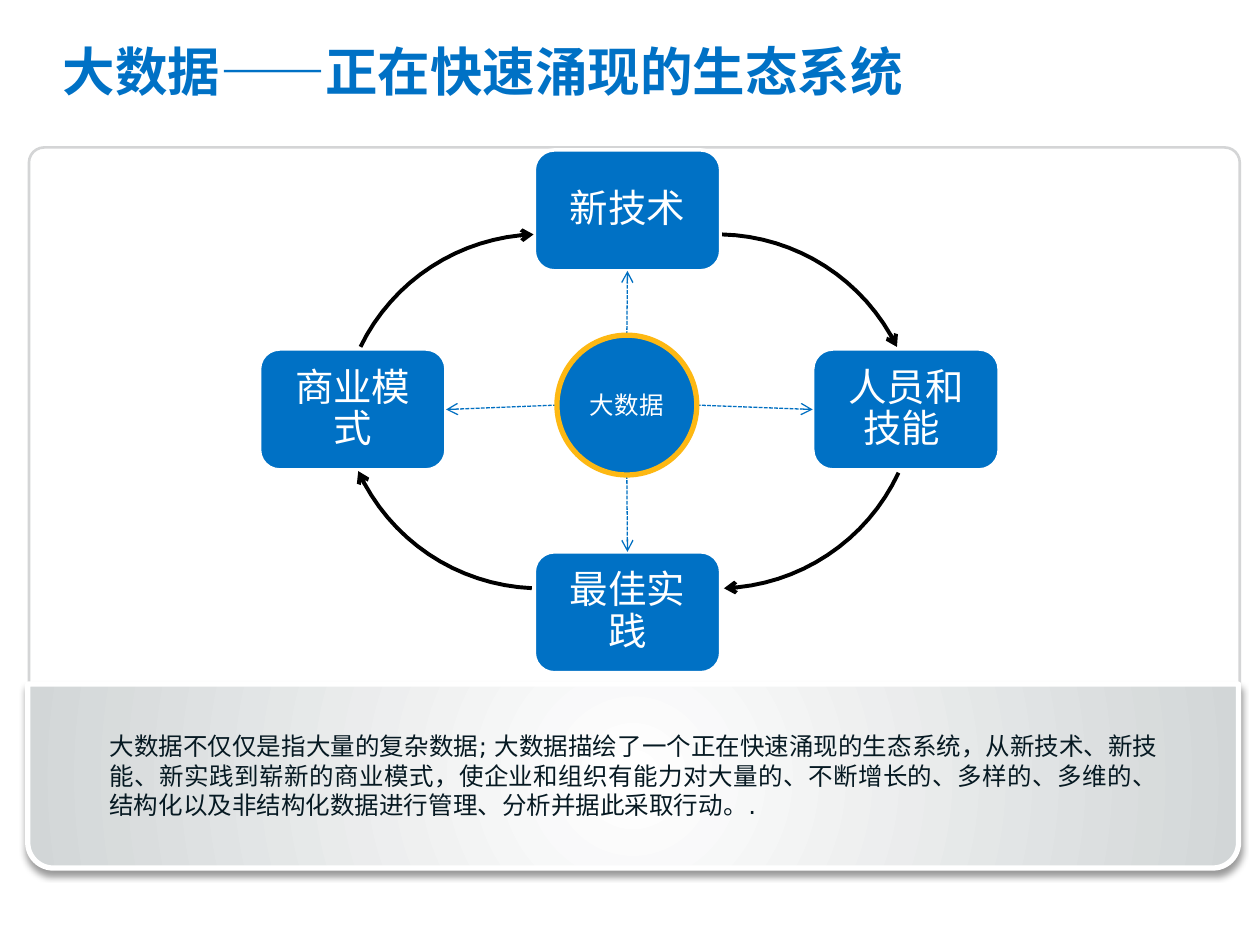
from math import cos, sin, radians
from pptx import Presentation
from pptx.dml.color import RGBColor
from pptx.enum.dml import MSO_LINE
from pptx.enum.shapes import MSO_CONNECTOR, MSO_SHAPE
from pptx.enum.text import MSO_ANCHOR, PP_ALIGN
from pptx.oxml import parse_xml
from pptx.oxml.ns import nsdecls
from pptx.util import Inches, Pt

# Content
TITLE = "大数据——正在快速涌现的生态系统"
CORE = "大数据"
NOTE = ("大数据不仅仅是指大量的复杂数据; 大数据描绘了一个正在快速涌现的生态系统，"
        "从新技术、新技能、新实践到崭新的商业模式，使企业和组织有能力对大量的、"
        "不断增长的、多样的、多维的、结构化以及非结构化数据进行管理、分析并据此采取行动。.")
# label, column, row, side that faces the core
NODES = [("新技术", 1, 0, 2), ("人员和技能 ", 2, 1, 1),
         ("最佳实践", 1, 2, 0), ("商业模式", 0, 1, 3)]
# horizontal and vertical shift of the arc's centre, start and end angle
ARCS = [(1, 1, -88.5, -26), (1, -1, 25, 88),
        (-1, -1, 92.5, 155.5), (-1, 1, 206, 268)]
HEX = dict(blue="0071C5", dash="006FC1", gold="FDB813", white="FFFFFF",
           edge="D4D5D6", gray="D2D6D7", ink="061922", black="000000")
FONT = "DejaVu Sans"

# Grid, in inches
COLS = (2.8, 4.98, 7.19)
ROWS = (1.67, 3.25, 4.86)
NODE = (1.48, 0.96)
HUB = (4.975, 3.215)
RAD = 0.555
MID = (4.99, 3.265)
SHIFT = (0.7, 0.185)
BOW = 1.59
STEPS = 16


def rgb(name):
    return RGBColor.from_string(HEX[name])


def edge(line, name, width):
    line.color.rgb = rgb(name)
    line.width = Pt(width)


def point(line):
    line._get_or_add_ln().append(
        parse_xml(f'<a:tailEnd {nsdecls("a")} type="arrow"/>'))


def shape(kind, box, fill, line, width):
    item = page.shapes.add_shape(kind, *map(Inches, box))
    item.shadow.inherit = False
    item.fill.solid()
    item.fill.fore_color.rgb = rgb(fill)
    edge(item.line, line, width)
    return item


def write(item, text, size, color, align, pad, anchor=MSO_ANCHOR.MIDDLE):
    frame = item.text_frame
    frame.word_wrap = True
    frame.vertical_anchor = anchor
    frame.margin_left = frame.margin_right = Inches(pad[0])
    frame.margin_top = frame.margin_bottom = Inches(pad[1])
    para = frame.paragraphs[0]
    para.text = text
    para.alignment = align
    para.font.name = FONT
    para.font.size = Pt(size)
    para.font.color.rgb = rgb(color)
    return para


deck = Presentation()
deck.slide_width, deck.slide_height = Inches(10), Inches(7.5)
page = deck.slides.add_slide(deck.slide_layouts[6])

# Title
box = page.shapes.add_textbox(*map(Inches, (0.5, 0.45, 9, 0.97)))
para = write(box, TITLE, 30, "blue", PP_ALIGN.LEFT, (0, 0), MSO_ANCHOR.TOP)
para.font.bold = True
para.line_spacing = Pt(26)

# Frame, half clear
frame = shape(MSO_SHAPE.ROUNDED_RECTANGLE, (0.23, 1.17, 9.61, 4.45),
              "white", "edge", 1.5)
frame.adjustments[0] = 0.027
tint = frame._element.spPr.find(".//{*}solidFill/{*}srgbClr")
tint.append(parse_xml(f'<a:alpha {nsdecls("a")} val="50000"/>'))

# Note panel with a round gradient and a shadow below
panel = shape(MSO_SHAPE.ROUND_2_SAME_RECTANGLE, (0.22, 5.43, 9.61, 1.46),
              "white", "white", 3)
panel.adjustments[0], panel.adjustments[1] = 0, 0.139
props = panel._element.spPr
props.replace(props.find("{*}solidFill"), parse_xml(
    f'<a:gradFill {nsdecls("a")} rotWithShape="1"><a:gsLst>'
    f'<a:gs pos="0"><a:srgbClr val="{HEX["white"]}"/></a:gs>'
    f'<a:gs pos="100000"><a:srgbClr val="{HEX["gray"]}"/></a:gs></a:gsLst>'
    '<a:path path="circle"><a:fillToRect l="50000" t="50000" r="50000" b="50000"/>'
    '</a:path></a:gradFill>'))
props.find("{*}effectLst").append(parse_xml(
    f'<a:outerShdw {nsdecls("a")} blurRad="{Pt(4)}" dist="{Pt(3)}" dir="5400000" '
    f'rotWithShape="0"><a:srgbClr val="{HEX["black"]}"><a:alpha val="40000"/>'
    '</a:srgbClr></a:outerShdw>'))
box = page.shapes.add_textbox(*map(Inches, (0.77, 5.75, 8.52, 0.81)))
write(box, NOTE, 14, "ink", PP_ALIGN.JUSTIFY, (0.1, 0.05))

# Nodes around the core
cards = []
for text, col, row, side in NODES:
    wide, high = NODE
    card = shape(MSO_SHAPE.ROUNDED_RECTANGLE,
                 (COLS[col] - wide / 2, ROWS[row] - high / 2, wide, high),
                 "blue", "white", 2)
    para = write(card, text, 22, "white", PP_ALIGN.CENTER, (0.09, 0.09))
    para.line_spacing = 0.9
    cards.append((card, col - 1, row - 1, side))

# Arcs from node to node
for across, down, start, end in ARCS:
    turns = [radians(start + (end - start) * i / STEPS) for i in range(STEPS + 1)]
    dots = [(Inches(MID[0] + across * SHIFT[0] + BOW * cos(t)),
             Inches(MID[1] + down * SHIFT[1] + BOW * sin(t))) for t in turns]
    pen = page.shapes.build_freeform(*dots[0])
    pen.add_line_segments(dots[1:], close=False)
    arc = pen.convert_to_shape()
    arc.shadow.inherit = False
    arc.fill.background()
    edge(arc.line, "black", 2.25)
    point(arc.line)

# Dashed arrows from the core to each node
for card, across, down, side in cards:
    x, y = Inches(HUB[0] + across * RAD), Inches(HUB[1] + down * RAD)
    ray = page.shapes.add_connector(MSO_CONNECTOR.STRAIGHT, x, y, x, y)
    ray.end_connect(card, side)
    edge(ray.line, "dash", 0.75)
    ray.line.dash_style = MSO_LINE.SQUARE_DOT
    point(ray.line)
    ray._element.spPr.append(parse_xml(f'<a:effectLst {nsdecls("a")}/>'))

# Core
core = shape(MSO_SHAPE.OVAL, (HUB[0] - RAD, HUB[1] - RAD, 2 * RAD, 2 * RAD),
             "blue", "gold", 3)
write(core, CORE, 14, "white", PP_ALIGN.CENTER, (0.1, 0.05))

deck.save("out.pptx")
